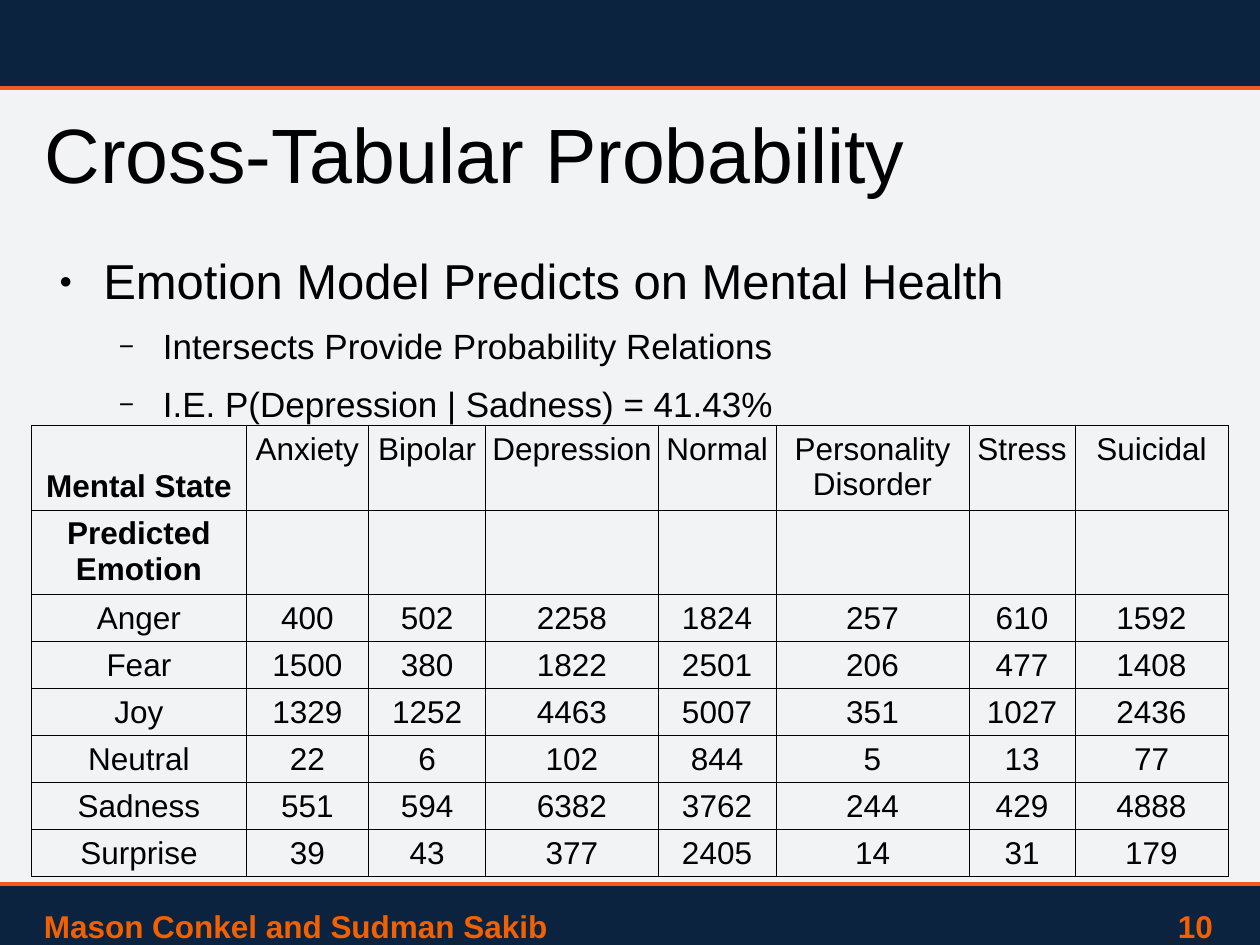
from dataclasses import dataclass

import pptx
import pptx.dml.color
import pptx.enum.shapes
import pptx.enum.text
import pptx.oxml
import pptx.oxml.ns
import pptx.util
from lxml import etree

Pt = pptx.util.Pt
RGB = pptx.dml.color.RGBColor.from_string
qn = pptx.oxml.ns.qn
ANCHOR = pptx.enum.text.MSO_ANCHOR
ALIGN = pptx.enum.text.PP_ALIGN


@dataclass(frozen=True)
class Theme:
    font: str = "Arial"
    navy: str = "0C2340"
    orange: str = "F15A22"
    footer: str = "F26000"
    ink: str = "000000"
    title_size: float = 44
    head_size: float = 28
    sub_size: float = 20
    small_size: float = 18


THEME = Theme()
W, H = 720, 540

BULLETS = [
    (0, "Emotion Model Predicts on Mental Health"),
    (1, "Intersects Provide Probability Relations"),
    (1, "I.E. P(Depression | Sadness) = 41.43%"),
]
# per level: text size, left indent, space before, bullet sign, bullet size %
LEVELS = [
    (THEME.head_size, 34, 14.2, "●", 45),
    (THEME.sub_size, 68, 11.3, "−", 75),
]
HANGING = 25.2

COUNTS = [
    ["Mental State", "Anxiety", "Bipolar", "Depression", "Normal",
     "Personality Disorder", "Stress", "Suicidal"],
    ["Predicted Emotion"] + [""] * 7,
    ["Anger", 400, 502, 2258, 1824, 257, 610, 1592],
    ["Fear", 1500, 380, 1822, 2501, 206, 477, 1408],
    ["Joy", 1329, 1252, 4463, 5007, 351, 1027, 2436],
    ["Neutral", 22, 6, 102, 844, 5, 13, 77],
    ["Sadness", 551, 594, 6382, 3762, 244, 429, 4888],
    ["Surprise", 39, 43, 377, 2405, 14, 31, 179],
]
COL_WIDTHS = [122.8, 69.7, 67.2, 98.4, 67.4, 110.3, 60.6, 87.4]
ROW_HEIGHTS = [46.1] * 2 + [25.9] * 6


def add(parent, tag, **attrs):
    return etree.SubElement(parent, qn(tag), attrs)


def style(p, size, color=THEME.ink, bold=False):
    for r in p.runs:
        r.font.name = THEME.font
        r.font.size = Pt(size)
        r.font.bold = bold
        r.font.color.rgb = RGB(color)


def add_band(s, x, y, w, h, alpha=None):
    sp = s.shapes.add_shape(pptx.enum.shapes.MSO_SHAPE.RECTANGLE,
                            Pt(x), Pt(y), Pt(w), Pt(h))
    sp.shadow.inherit = False
    sp.line.fill.background()
    sp.fill.solid()
    sp.fill.fore_color.rgb = RGB(THEME.navy)
    if alpha:
        color = sp.element.spPr.find(".//" + qn("a:srgbClr"))
        add(color, "a:alpha", val=str(alpha * 1000))


def add_rule(s, x, y, w):
    line = s.shapes.add_connector(pptx.enum.shapes.MSO_CONNECTOR.STRAIGHT,
                                  Pt(x), Pt(y), Pt(x + w), Pt(y))
    line.line.color.rgb = RGB(THEME.orange)
    line.line.width = Pt(2)
    add(line.element.spPr, "a:effectLst")


def add_text_box(s, x, y, w, h, anchor=ANCHOR.TOP):
    tf = s.shapes.add_textbox(Pt(x), Pt(y), Pt(w), Pt(h)).text_frame
    tf.word_wrap = True
    tf.vertical_anchor = anchor
    return tf


def add_frame(s, x, y, w, h):
    """Tinted body between a top and a bottom band, each edged by a rule."""
    add_band(s, x, y + 51.8, w, h - 87.2, alpha=5)
    add_band(s, x, y + h - 34, w, 34)
    add_band(s, x, y, w, 49.7)
    add_rule(s, x, y + 50.2, w)
    add_rule(s, x, y + h - 34.8, w)


def add_title(s, x, y, w, h):
    tf = add_text_box(s, x, y, w, h, ANCHOR.MIDDLE)
    tf.text = "Cross-Tabular Probability"
    p = tf.paragraphs[0]
    p.line_spacing = 0.9
    style(p, THEME.title_size)


def add_bullets(s, x, y, w, h):
    tf = add_text_box(s, x, y, w, h)
    tf.text = "\n".join(text for _, text in BULLETS)
    for p, (level, _) in zip(tf.paragraphs, BULLETS):
        size, indent, before, sign, percent = LEVELS[level]
        p.level = level
        p.line_spacing = 0.9
        p.space_before = Pt(before)
        style(p, size)
        pPr = p._p.get_or_add_pPr()
        pPr.set("marL", str(Pt(indent)))
        pPr.set("indent", str(Pt(-HANGING)))
        add(add(pPr, "a:buClr"), "a:srgbClr", val=THEME.ink)
        add(pPr, "a:buSzPct", val=str(percent * 1000))
        add(pPr, "a:buFont", typeface=THEME.font)
        add(pPr, "a:buChar", char=sign)


def add_footer(s, x, y, w, h):
    """Authors at the left, page number at a right tab stop."""
    tf = add_text_box(s, x, y, w, h)
    tf.text = "Mason Conkel and Sudman Sakib\t10"
    p = tf.paragraphs[0]
    style(p, THEME.small_size, THEME.footer, bold=True)
    tabs = add(p._p.get_or_add_pPr(), "a:tabLst")
    add(tabs, "a:tab", pos=str(Pt(w - 16)), algn="r")


def add_borders(cell):
    tcPr = cell._tc.get_or_add_tcPr()
    for side in "LRTB":
        ln = add(tcPr, "a:ln" + side, w=str(Pt(0.57)))
        add(add(ln, "a:solidFill"), "a:srgbClr", val=THEME.ink)


def add_count_table(s, x, y, w, h):
    """Counts per emotion; a slim bottom margin keeps rows from growing."""
    frame = s.shapes.add_table(len(COUNTS), len(COUNTS[0]),
                               Pt(x), Pt(y), Pt(w), Pt(h))
    table = frame.table
    table.first_row = table.horz_banding = False
    for col, width in zip(table.columns, COL_WIDTHS):
        col.width = Pt(width)
    for row, height in zip(table.rows, ROW_HEIGHTS):
        row.height = Pt(height)
    frame.height = Pt(h)
    for i, values in enumerate(COUNTS):
        for j, value in enumerate(values):
            cell = table.cell(i, j)
            add_borders(cell)
            cell.fill.background()
            cell.margin_left = cell.margin_right = Pt(2.9)
            cell.margin_top, cell.margin_bottom = Pt(3.6), Pt(1.6)
            cell.text_frame.text = str(value)
            p = cell.text_frame.paragraphs[0]
            p.alignment = ALIGN.CENTER
            style(p, THEME.small_size, bold=i < 2 and j == 0)
    corner = table.cell(0, 0)
    corner.vertical_anchor = ANCHOR.BOTTOM
    corner.margin_bottom = Pt(3.6)


def main():
    prs = pptx.Presentation()
    prs.slide_width, prs.slide_height = Pt(W), Pt(H)
    s = prs.slides.add_slide(prs.slide_layouts[6])
    add_frame(s, 0, 0, W, H)
    add_title(s, 18.4, 59.4, 683.3, 62.6)
    add_bullets(s, 18, 143.3, 576, 108.7)
    add_footer(s, 18, 514.8, 684, 25.2)
    add_count_table(s, 18, 243, sum(COL_WIDTHS), 259.2)
    prs.save("out.pptx")


if __name__ == "__main__":
    main()
